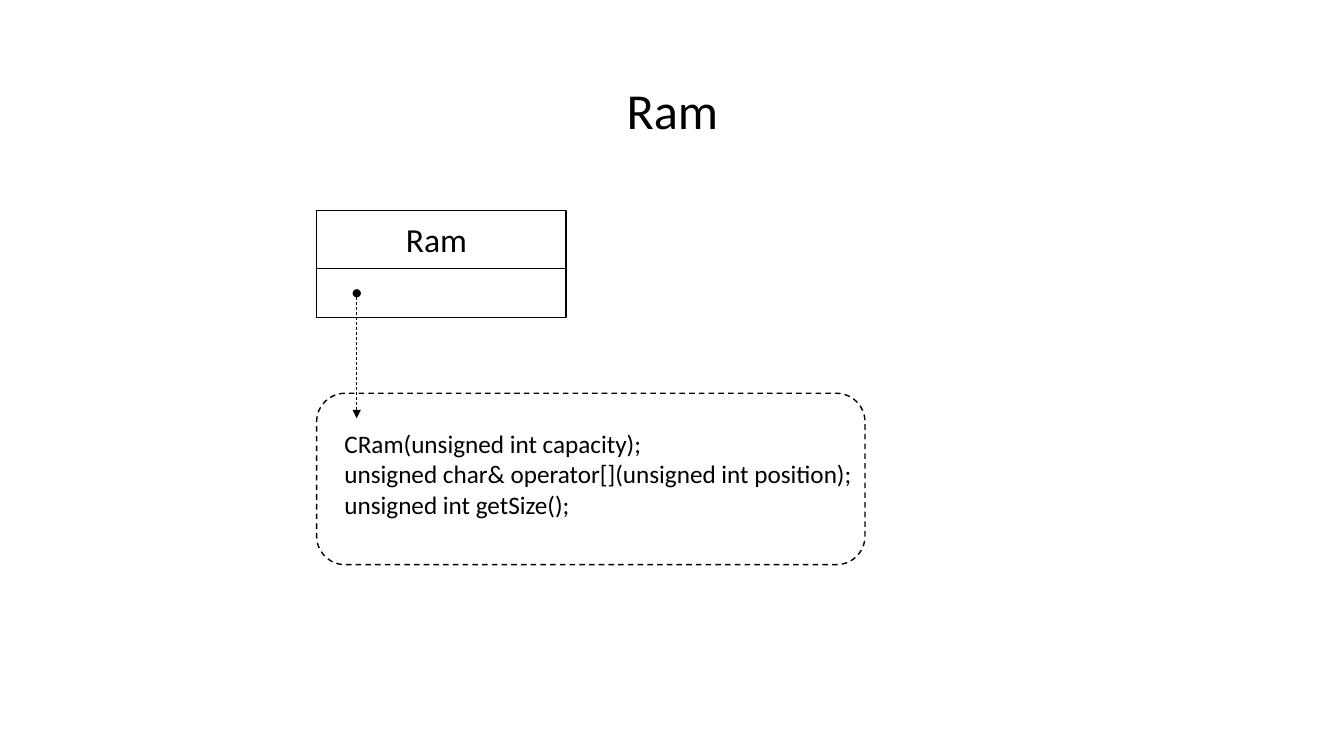
import dataclasses

import lxml.etree
import pptx
import pptx.dml.color
import pptx.enum.dml
import pptx.enum.shapes
import pptx.enum.text
import pptx.oxml.ns
import pptx.util

Cm = pptx.util.Cm
Pt = pptx.util.Pt
qn = pptx.oxml.ns.qn
SHAPE = pptx.enum.shapes.MSO_SHAPE
DASH = pptx.enum.dml.MSO_LINE.DASH


@dataclasses.dataclass(frozen=True)
class Theme:
    """Colours, font and sizes used on the slide."""

    ink: str = "000000"
    paper: str = "FFFFFF"
    font: str = "Calibri"
    title: int = 36
    class_name: int = 24
    methods: int = 18
    outline: float = 1
    thin: float = 0.5


THEME = Theme()


def colour(value):
    """Return the RGB colour for a hexadecimal value."""
    return pptx.dml.color.RGBColor.from_string(value)


def style_text(text_frame, size):
    """Apply the theme font to every run."""
    for paragraph in text_frame.paragraphs:
        for run in paragraph.runs:
            run.font.name = THEME.font
            run.font.size = Pt(size)
            run.font.color.rgb = colour(THEME.ink)


def style_line(line, width, dash=None):
    """Set colour, width and dash of a line."""
    line.color.rgb = colour(THEME.ink)
    line.width = Pt(width)
    if dash is not None:
        line.dash_style = dash


def set_title(slide, text, left, top, width, height):
    """Fill, place and format the title placeholder."""
    title = slide.shapes.title
    title.left, title.top, title.width, title.height = map(Cm, (left, top, width, height))
    title.text_frame.text = text
    title.text_frame.vertical_anchor = pptx.enum.text.MSO_ANCHOR.MIDDLE
    paragraph = title.text_frame.paragraphs[0]
    paragraph.alignment = pptx.enum.text.PP_ALIGN.CENTER
    paragraph.line_spacing = 0.9
    style_text(title.text_frame, THEME.title)


def add_box(shapes, kind, left, top, width, height, dash=None):
    """Add an outlined box."""
    box = shapes.add_shape(kind, Cm(left), Cm(top), Cm(width), Cm(height))
    box.shadow.inherit = False
    box.fill.solid()
    box.fill.fore_color.rgb = colour(THEME.paper)
    style_line(box.line, THEME.outline, dash)


def add_text(shapes, text, size, left, top, width, height):
    """Add an unwrapped text box that grows with its text."""
    box = shapes.add_textbox(Cm(left), Cm(top), Cm(width), Cm(height))
    box.text_frame.word_wrap = False
    box.text_frame.auto_size = pptx.enum.text.MSO_AUTO_SIZE.SHAPE_TO_FIT_TEXT
    box.text_frame.text = text
    style_text(box.text_frame, size)


def add_line(shapes, start, end, dash=None, ends=None):
    """Add a thin straight line with optional end marks."""
    line = shapes.add_connector(
        pptx.enum.shapes.MSO_CONNECTOR.STRAIGHT, *map(Cm, start + end)
    )
    style_line(line.line, THEME.thin, dash)
    properties = line._element.spPr
    lxml.etree.SubElement(properties, qn("a:effectLst"))
    outline = properties.find(qn("a:ln"))
    for tag, mark in (ends or {}).items():
        lxml.etree.SubElement(outline, qn(tag), type=mark)


def main():
    """Build the class diagram slide."""
    presentation = pptx.Presentation()
    presentation.slide_width = Cm(33.87)
    presentation.slide_height = Cm(19.05)
    slide = presentation.slides.add_slide(presentation.slide_layouts[5])
    set_title(slide, "Ram", 2.34, 1.02, 29.21, 3.68)

    diagram = slide.shapes.add_group_shape().shapes
    left, class_width, divider = 7.98, 6.29, 6.76
    add_box(diagram, SHAPE.RECTANGLE, left, 5.31, class_width, 2.69)
    add_line(diagram, (left, divider), (left + class_width, divider))
    add_text(diagram, "Ram", THEME.class_name, 9.98, 5.38, 2.26, 1.27)
    add_box(diagram, SHAPE.ROUNDED_RECTANGLE, left, 9.91, 13.82, 4.32, DASH)
    arrow_ends = {"a:headEnd": "oval", "a:tailEnd": "triangle"}
    add_line(diagram, (8.99, 7.39), (8.99, 10.54), DASH, arrow_ends)

    methods = (
        "CRam(unsigned int capacity);",
        "unsigned char& operator[](unsigned int position);",
        "unsigned int getSize();",
    )
    add_text(slide.shapes, "\n".join(methods), THEME.methods, 8.43, 10.67, 13.46, 2.57)
    presentation.save("out.pptx")


main()
